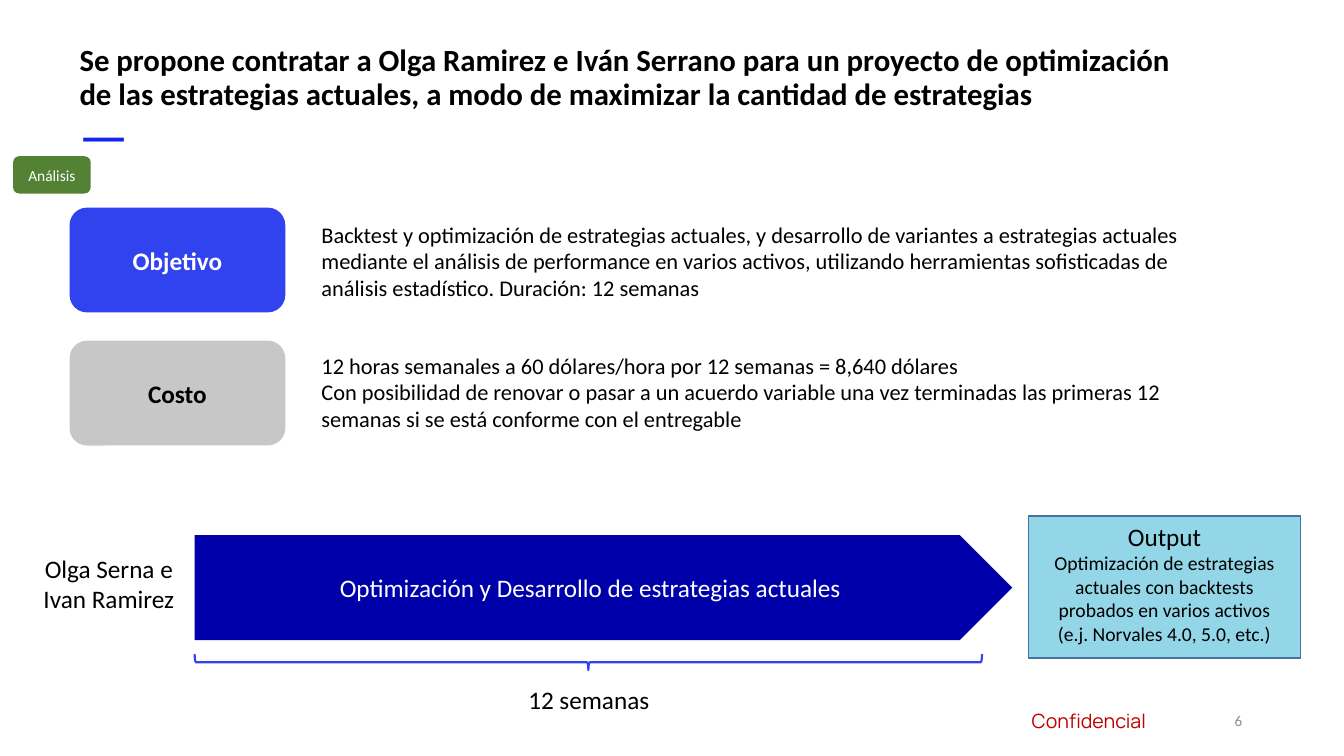
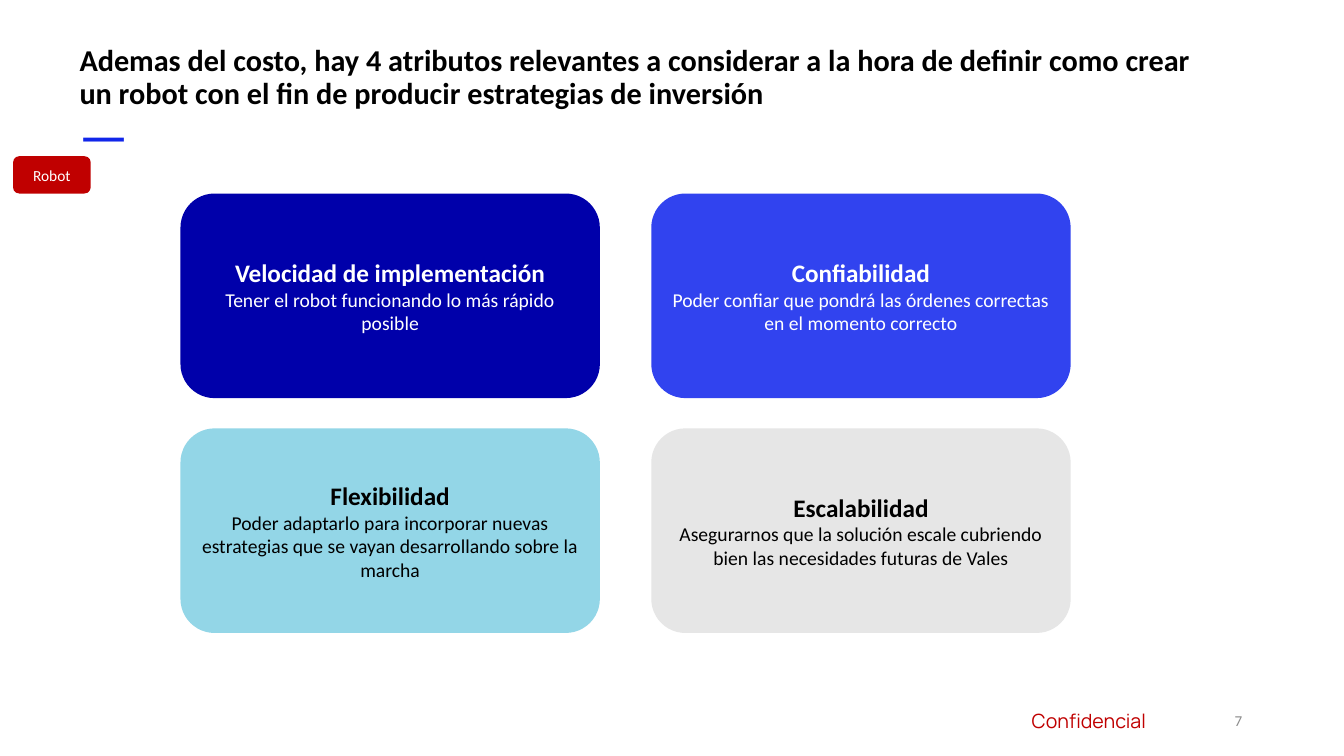
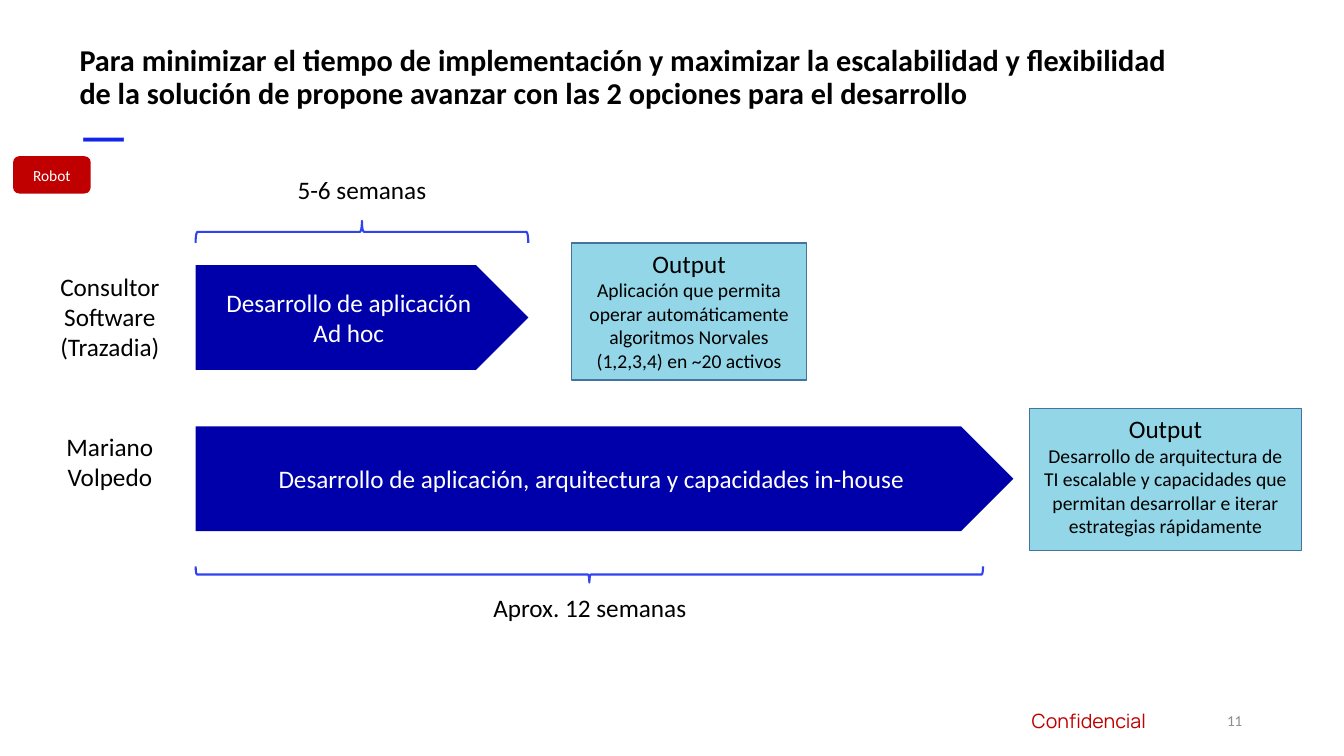
from pptx import Presentation
from pptx.dml.color import RGBColor
from pptx.enum.shapes import MSO_SHAPE
from pptx.enum.text import MSO_ANCHOR, PP_ALIGN
from pptx.util import Inches, Pt

ROUNDED, RECTANGLE = MSO_SHAPE.ROUNDED_RECTANGLE, MSO_SHAPE.RECTANGLE
PENTAGON, BRACE = MSO_SHAPE.PENTAGON, MSO_SHAPE.RIGHT_BRACE
TOP, MIDDLE = MSO_ANCHOR.TOP, MSO_ANCHOR.MIDDLE
LEFT, CENTER, RIGHT = PP_ALIGN.LEFT, PP_ALIGN.CENTER, PP_ALIGN.RIGHT

BODY_FONT, BRAND_FONT = "Calibri", "Manrope"
BLACK, WHITE = "000000", "FFFFFF"
NAVY, BLUE, SKY = "0000AA", "3143EF", "93D6E7"
SILVER, PALE = "C7C7C7", "E6E6E6"
ACCENT, RED, GREEN = "1126EA", "C00000", "548235"
NUMBER_GRAY, OUTPUT_BORDER = "8C8C8C", "43739E"

ANALYSIS_TAG, ROBOT_TAG = ("Análisis", GREEN), ("Robot", RED)
ARROW_HEIGHT = 1.04

# Title, title size, tag, slide number
PROPOSAL = (
    "Se propone contratar a Olga Ramirez e Iván Serrano para un proyecto de "
    "optimización de las estrategias actuales, a modo de maximizar la cantidad "
    "de estrategias", 22, ANALYSIS_TAG, 6)
ATTRIBUTES = (
    "Ademas del costo, hay 4 atributos relevantes a considerar a la hora de "
    "definir como crear un robot con el fin de producir estrategias de inversión",
    21.6, ROBOT_TAG, 7)
OPTIONS = (
    "Para minimizar el tiempo de implementación y maximizar la escalabilidad y "
    "flexibilidad de la solución de propone avanzar con las 2 opciones para el "
    "desarrollo", 21.6, ROBOT_TAG, 11)

# Heading, fill, font colour, paragraphs
PROPOSAL_ROWS = [
    ("Objetivo", BLUE, WHITE, [
        "Backtest y optimización de estrategias actuales, y desarrollo de variantes "
        "a estrategias actuales mediante el análisis de performance en varios "
        "activos, utilizando herramientas sofisticadas de análisis estadístico. "
        "Duración: 12 semanas"]),
    ("Costo", SILVER, BLACK, [
        "12 horas semanales a 60 dólares/hora por 12 semanas = 8,640 dólares",
        "Con posibilidad de renovar o pasar a un acuerdo variable una vez terminadas "
        "las primeras 12 semanas si se está conforme con el entregable"]),
]

# Heading, description, fill, font colour
ATTRIBUTE_CARDS = [
    ("Velocidad de implementación",
     "Tener el robot funcionando lo más rápido posible", NAVY, WHITE),
    ("Confiabilidad",
     "Poder confiar que pondrá las órdenes correctas en el momento correcto",
     BLUE, WHITE),
    ("Flexibilidad",
     "Poder adaptarlo para incorporar nuevas estrategias que se vayan "
     "desarrollando sobre la marcha", SKY, BLACK),
    ("Escalabilidad",
     "Asegurarnos que la solución escale cubriendo bien las necesidades futuras "
     "de Vales", PALE, BLACK),
]

# Boxes are left, top, width, height; a brace is left, top, length, depth, rotation
PROPOSAL_STAGES = [
    {"owner": ["Olga Serna e Ivan Ramirez"], "owner_box": (0.15, 5.44, 1.86, 0.71),
     "work": ["Optimización y Desarrollo de estrategias actuales"],
     "arrow": (1.93, 5.31, 8.11),
     "output": ["Optimización de estrategias actuales con backtests probados en "
                "varios activos", "(e.j. Norvales 4.0, 5.0, etc.)"],
     "output_box": (10.2, 5.12, 2.7, 1.41),
     "duration": "12 semanas", "duration_box": (4.91, 6.74, 1.86, 0.4),
     "brace": (1.93, 6.49, 7.81, 0.16, 90)},
]
OPTION_STAGES = [
    {"owner": ["Consultor Software", "(Trazadia)"],
     "owner_box": (0.16, 2.64, 1.86, 1.01),
     "work": ["Desarrollo de aplicación", "Ad hoc"], "arrow": (1.94, 2.63, 3.3),
     "output": ["Aplicación que permita operar automáticamente algoritmos Norvales "
                "(1,2,3,4) en ~20 activos"],
     "output_box": (5.67, 2.41, 2.33, 1.36),
     "duration": "5-6 semanas", "duration_box": (2.66, 1.68, 1.86, 0.4),
     "brace": (1.94, 2.19, 3.3, 0.22, 270)},
    {"owner": ["Mariano Volpedo"], "owner_box": (0.16, 4.23, 1.86, 0.71),
     "work": ["Desarrollo de aplicación, arquitectura y capacidades in-house"],
     "arrow": (1.94, 4.23, 8.11),
     "output": ["Desarrollo de arquitectura de TI escalable y capacidades que "
                "permitan desarrollar e iterar estrategias rápidamente"],
     "output_box": (10.21, 4.05, 2.7, 1.41),
     "duration": "Aprox. 12 semanas", "duration_box": (4.68, 5.83, 2.34, 0.4),
     "brace": (1.94, 5.62, 7.81, 0.16, 90)},
]


def color(value):
    return RGBColor.from_string(value)


def write(shape, lines, size, font_color, bold=False, align=CENTER, anchor=TOP,
          font=BODY_FONT, spacing=None, detail_size=None):
    """Fill a shape with paragraphs; detail_size makes all but the first plain and smaller."""
    text_frame = shape.text_frame
    text_frame.word_wrap = True
    text_frame.vertical_anchor = anchor
    text_frame.text = "\n".join(lines)
    for index, paragraph in enumerate(text_frame.paragraphs):
        is_detail = detail_size is not None and index > 0
        paragraph.alignment = align
        if spacing:
            paragraph.line_spacing = spacing
        for run in paragraph.runs:
            run.font.name = font
            run.font.size = Pt(detail_size if is_detail else size)
            run.font.bold = bold and not is_detail
            run.font.color.rgb = color(font_color)


def add_text(slide, box, lines, size, font_color=BLACK, **style):
    text_box = slide.shapes.add_textbox(*map(Inches, box))
    write(text_box, lines, size, font_color, **style)


def add_block(slide, geometry, box, fill=None, border=None, border_width=1):
    shape = slide.shapes.add_shape(geometry, *map(Inches, box))
    shape.shadow.inherit = False
    if fill:
        shape.fill.solid()
        shape.fill.fore_color.rgb = color(fill)
    else:
        shape.fill.background()
    if border:
        shape.line.color.rgb = color(border)
        shape.line.width = Pt(border_width)
    else:
        shape.line.fill.background()
    return shape


def add_brace(slide, left, top, length, depth, rotation):
    """Lay a brace horizontally; left and top are those of the turned shape."""
    shift = (length - depth) / 2
    brace = add_block(slide, BRACE, (left + shift, top - shift, depth, length),
                      border=BLUE, border_width=1.5)
    brace.rotation = rotation


def add_stage(slide, stage):
    arrow = add_block(slide, PENTAGON, (*stage["arrow"], ARROW_HEIGHT), NAVY)
    write(arrow, stage["work"], 18, WHITE, anchor=MIDDLE)
    add_text(slide, stage["owner_box"], stage["owner"], 18)
    output = add_block(slide, RECTANGLE, stage["output_box"], SKY, OUTPUT_BORDER)
    write(output, ["Output", *stage["output"]], 18, BLACK, detail_size=14)
    add_brace(slide, *stage["brace"])
    add_text(slide, stage["duration_box"], [stage["duration"]], 18)


def add_framed_slide(presentation, title, title_size, tag, number):
    """Add a slide with the shared title, accent dash, tag and footer."""
    slide = presentation.slides.add_slide(presentation.slide_layouts[6])
    add_text(slide, (0.69, 1.01, 0.55, 0.21), ["—"], 44, ACCENT,
             align=LEFT, font=BRAND_FONT, spacing=0.9)
    add_text(slide, (10.12, 6.98, 1.36, 0.34), ["Confidencial"], 14, RED,
             font=BRAND_FONT)
    add_text(slide, (0.69, 0.4, 11.29, 0.82), [title], title_size,
             bold=True, align=LEFT, spacing=0.9)
    add_text(slide, (11.55, 6.95, 0.87, 0.4), [str(number)], 10.8, NUMBER_GRAY,
             align=RIGHT, anchor=MIDDLE)
    tag_text, tag_fill = tag
    tag_shape = add_block(slide, ROUNDED, (0.13, 1.55, 0.77, 0.37), tag_fill)
    write(tag_shape, [tag_text], 11, WHITE, anchor=MIDDLE)
    return slide


def add_proposal_rows(slide):
    for index, (heading, fill, font_color, lines) in enumerate(PROPOSAL_ROWS):
        label = add_block(slide, ROUNDED, (0.69, 2.06 + 1.32 * index, 2.14, 1.04), fill)
        write(label, [heading], 18, font_color, bold=True, anchor=MIDDLE)
        add_text(slide, (3.09, 2.14 + 1.3 * index, 9, 0.91), lines, 16, align=LEFT)


def add_attribute_cards(slide):
    for index, (heading, description, fill, font_color) in enumerate(ATTRIBUTE_CARDS):
        row, column = divmod(index, 2)
        box = (1.79 + 4.67 * column, 1.92 + 2.33 * row, 4.16, 2.03)
        card = add_block(slide, ROUNDED, box, fill)
        write(card, [heading, description], 18, font_color, bold=True,
              anchor=MIDDLE, detail_size=14)


def main():
    presentation = Presentation()
    presentation.slide_width = Inches(13.33)
    presentation.slide_height = Inches(7.5)

    proposal = add_framed_slide(presentation, *PROPOSAL)
    add_proposal_rows(proposal)
    attributes = add_framed_slide(presentation, *ATTRIBUTES)
    add_attribute_cards(attributes)
    options = add_framed_slide(presentation, *OPTIONS)
    for slide, stages in ((proposal, PROPOSAL_STAGES), (options, OPTION_STAGES)):
        for stage in stages:
            add_stage(slide, stage)

    presentation.save("out.pptx")


if __name__ == "__main__":
    main()
